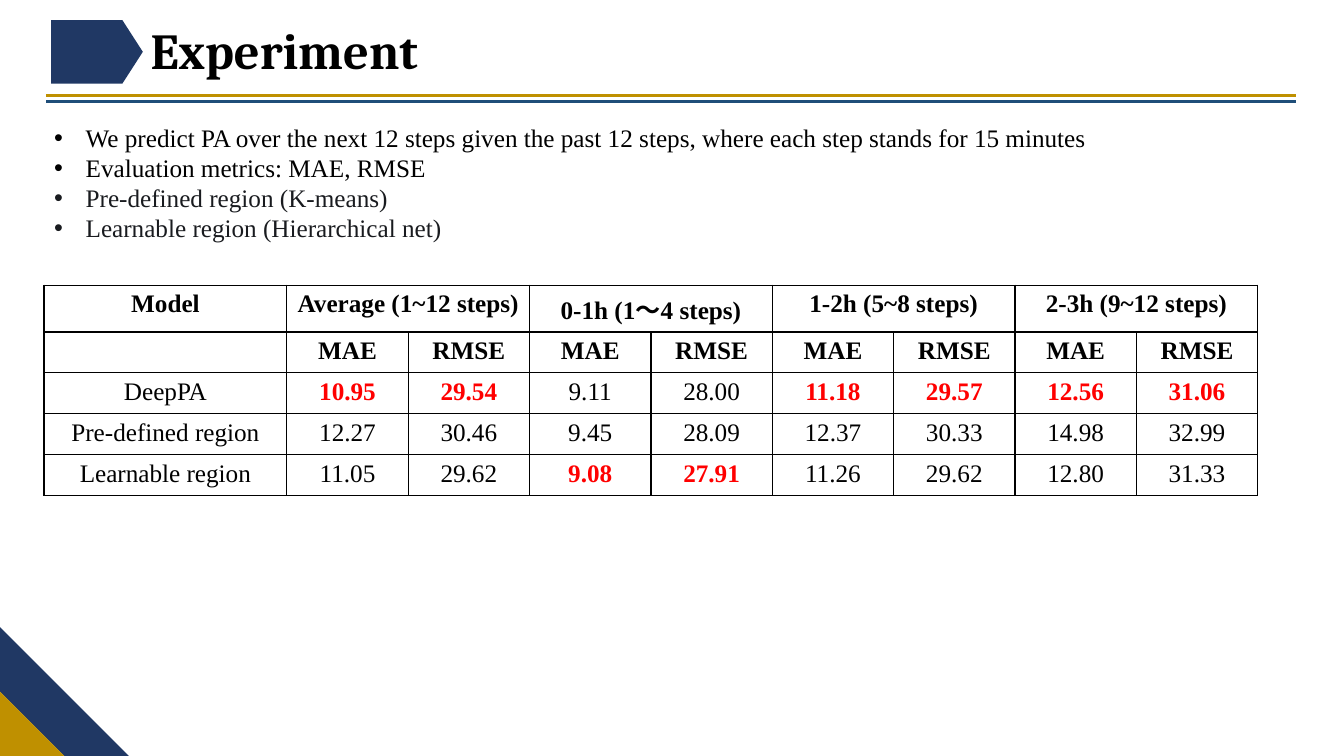
from lxml import etree
from pptx import Presentation
from pptx.dml.color import RGBColor
from pptx.enum import shapes, text
from pptx.oxml import ns
from pptx.util import Pt

NAVY = RGBColor(0x20, 0x38, 0x64)
GOLD = RGBColor(0xBF, 0x90, 0x00)
BLUE = RGBColor(0x1F, 0x4E, 0x79)
BLACK = RGBColor(0, 0, 0)
INK = RGBColor(0x19, 0x1B, 0x1F)
RED = RGBColor(0xFF, 0, 0)
WHITE = RGBColor(0xFF, 0xFF, 0xFF)

HEAD = {"name": "Cambria", "size": Pt(36), "bold": True}
BODY = {"name": "Times New Roman", "size": Pt(18), "bold": False}
FRAME = {"word_wrap": True, "auto_size": text.MSO_AUTO_SIZE.NONE}
MARGINS = {"margin_left": Pt(7.2), "margin_right": Pt(7.2),
           "margin_top": Pt(3.6), "margin_bottom": Pt(3.6)}

POINTS = [
    ("We predict PA over the next 12 steps given the past 12 steps, "
     "where each step stands for 15 minutes", BLACK),
    ("Evaluation metrics: MAE, RMSE", BLACK),
    ("Pre-defined region (K-means)", INK),
    ("Learnable region (Hierarchical net)", INK),
]
SPANS = ["Average (1~12 steps)", "0-1h (1～4 steps)",
         "1-2h (5~8 steps)", "2-3h (9~12 steps)"]
SCORES = [
    ("DeepPA", "10.95 29.54 9.11 28.00 11.18 29.57 12.56 31.06"),
    ("Pre-defined region", "12.27 30.46 9.45 28.09 12.37 30.33 14.98 32.99"),
    ("Learnable region", "11.05 29.62 9.08 27.91 11.26 29.62 12.80 31.33"),
]


def apply(item, values):
    """Set each named attribute on an item."""
    for name, value in values.items():
        setattr(item, name, value)


def place(item, box):
    """Put an item in a box given in points."""
    apply(item, dict(zip(("left", "top", "width", "height"), map(Pt, box))))


def write(para, words, style, color, align):
    """Write one formatted run into a paragraph."""
    para.alignment = align
    run = para.add_run()
    run.text = words
    apply(run.font, style)
    run.font.color.rgb = color


def paint(shape, color):
    """Give a shape a plain fill with no line or shadow."""
    shape.shadow.inherit = False
    shape.fill.solid()
    shape.fill.fore_color.rgb = color
    shape.line.fill.background()


def add_head(slide, x, y, width):
    """Place the title, its tag and the double rule below it."""
    tag = slide.shapes.add_shape(shapes.MSO_SHAPE.PENTAGON,
                                 Pt(x + 3.5), Pt(y), Pt(65.5), Pt(45.5))
    tag.adjustments[0] = 0.322
    paint(tag, NAVY)
    title = slide.shapes.title
    place(title, (x + 50.5, y - 4.2, 239, 51))
    frame = title.text_frame
    apply(frame, {**FRAME, **MARGINS})
    write(frame.paragraphs[0], "Experiment", HEAD, BLACK, text.PP_ALIGN.CENTER)
    for drop, color in ((58.5, BLUE), (54, GOLD)):
        rule = slide.shapes.add_connector(
            shapes.MSO_CONNECTOR.STRAIGHT,
            Pt(x), Pt(y + drop), Pt(x + width), Pt(y + drop))
        rule.line.color.rgb = color
        rule.line.width = Pt(2.25)
        etree.SubElement(rule._element.spPr, ns.qn("a:effectLst"))


def add_list(slide, box):
    """Fill the body placeholder with the bullet points."""
    body = slide.placeholders[1]
    place(body, box)
    frame = body.text_frame
    apply(frame, {**FRAME, **MARGINS})
    for i, (words, color) in enumerate(POINTS):
        para = frame.add_paragraph() if i else frame.paragraphs[0]
        props = para._p.get_or_add_pPr()
        props.set("marL", str(Pt(22.5)))
        props.set("indent", str(Pt(-22.5)))
        apply(para, {"space_before": Pt(0), "space_after": Pt(0),
                     "line_spacing": Pt(21.4)})
        write(para, words, BODY, color, text.PP_ALIGN.LEFT)


def edge(cell):
    """Draw thin black borders around a cell."""
    props = cell._tc.get_or_add_tcPr()
    for side in ("lnL", "lnR", "lnT", "lnB"):
        line = etree.SubElement(props, ns.qn("a:" + side), w=str(Pt(1)))
        fill = etree.SubElement(line, ns.qn("a:solidFill"))
        etree.SubElement(fill, ns.qn("a:srgbClr"), val=str(BLACK))


def add_scores(slide, x, y, unit, step):
    """Build the score table, marking the lowest score of each column."""
    heads = ["Model"] + [part for span in SPANS for part in (span, "")]
    scores = [[name] + nums.split() for name, nums in SCORES]
    rows = [heads, [""] + ["MAE", "RMSE"] * len(SPANS)] + scores
    best = [min(map(float, col)) for col in list(zip(*scores))[1:]]
    count = len(heads)
    table = slide.shapes.add_table(
        len(rows), count, Pt(x), Pt(y),
        Pt(unit * (count + 1)), Pt(step * len(rows))).table
    apply(table, {"first_row": False, "horz_banding": False})
    for c, col in enumerate(table.columns):
        col.width = Pt(unit if c else 2 * unit)
    for r, row in enumerate(rows):
        table.rows[r].height = Pt(step)
        for c, words in enumerate(row):
            cell = table.cell(r, c)
            edge(cell)
            apply(cell, MARGINS)
            cell.fill.solid()
            cell.fill.fore_color.rgb = WHITE
            top = r > 1 and c > 0 and float(words) == best[c - 1]
            if words:
                write(cell.text_frame.paragraphs[0], words,
                      {**BODY, "bold": r < 2 or top},
                      RED if top else BLACK, text.PP_ALIGN.CENTER)
    for c in range(1, count, 2):
        table.cell(0, c).merge(table.cell(0, c + 1))


def add_corner(slide, x, y, size):
    """Draw the navy band and gold triangle in the lower left corner."""
    half = size / 2
    band = [(x, y - size), (x + size, y), (x + half, y), (x, y - half)]
    wedge = [(x, y - half), (x + half, y), (x, y)]
    for spots, color in ((band, NAVY), (wedge, GOLD)):
        spots = [(Pt(a), Pt(b)) for a, b in spots]
        pen = slide.shapes.build_freeform(*spots[0])
        pen.add_line_segments(spots[1:], close=True)
        paint(pen.convert_to_shape(), color)


def main():
    """Build and save the slide."""
    deck = Presentation()
    apply(deck, {"slide_width": Pt(960), "slide_height": Pt(540)})
    slide = deck.slides.add_slide(deck.slide_layouts[1])
    add_head(slide, 33, 14.3, 892.5)
    add_corner(slide, 0, 540, 92)
    add_scores(slide, 31.5, 203.8, 86.7, 29.2)
    add_list(slide, (31.5, 84.2, 754.5, 116.6))
    deck.save("out.pptx")


if __name__ == "__main__":
    main()
